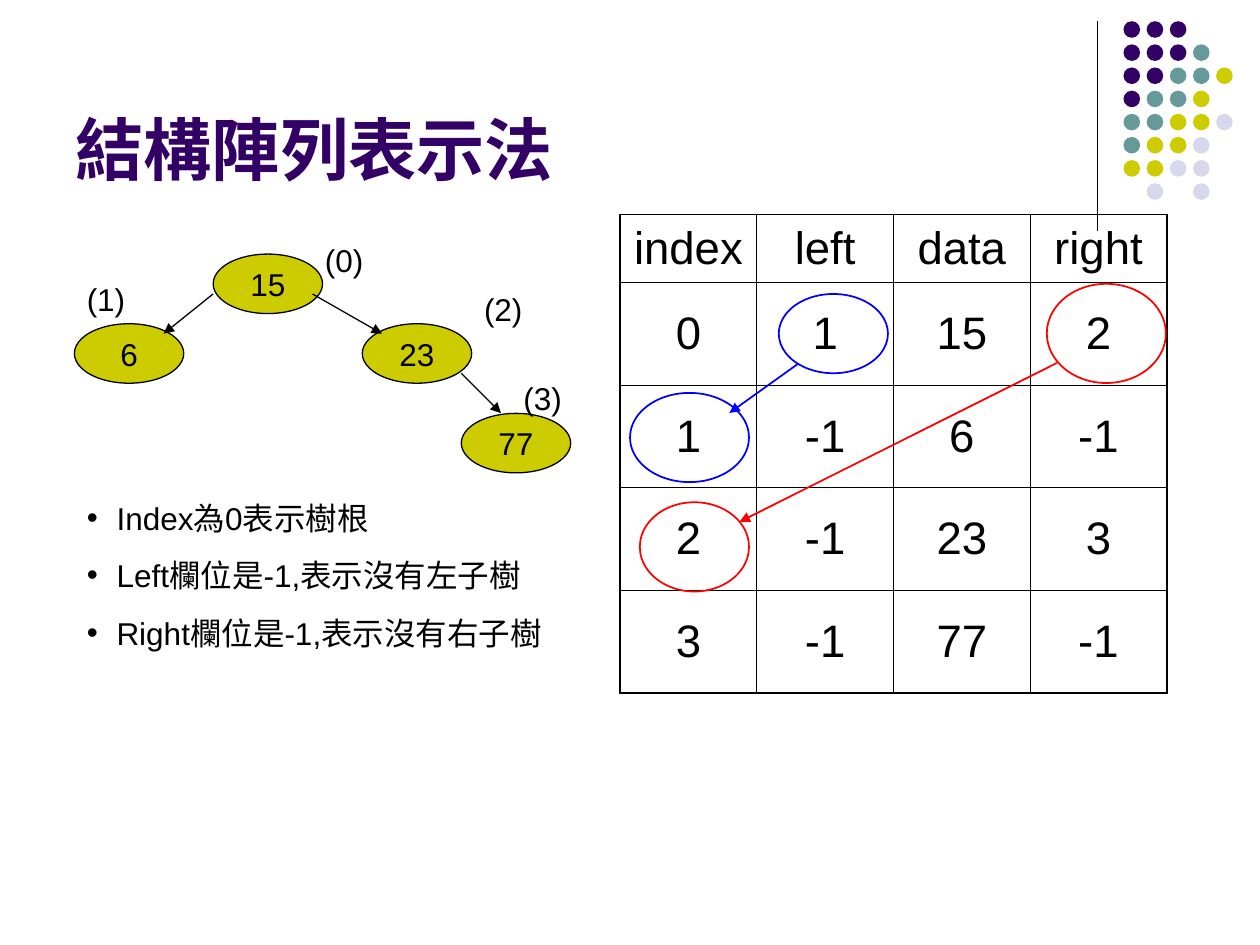
from lxml import etree
from pptx import Presentation
from pptx import util as u
from pptx.dml.color import RGBColor
from pptx.enum import shapes, text
from pptx.oxml.ns import qn

HUES = {"ink": "000000", "plum": "330066", "teal": "669999", "lime": "CCCC00",
        "mist": "D8D8EC", "blue": "0000FF", "red": "FF0000"}
FONT = "Arial"
MID = text.PP_ALIGN.CENTER


def rgb(hue):
    return RGBColor.from_string(HUES[hue])


def write(frame, words, size=18, hue="ink", bold=False, align=None,
          gap=0, bullet=None, hang=17):
    """Fill a text frame, one paragraph for each line of words."""
    for i, line in enumerate(words.split("\n")):
        para = frame.paragraphs[0] if i == 0 else frame.add_paragraph()
        if bullet:
            props = para._p.get_or_add_pPr()
            props.set("marL", str(u.Pt(hang)))
            props.set("indent", str(-u.Pt(hang)))
            etree.SubElement(props, qn("a:buFont"), typeface=FONT)
            etree.SubElement(props, qn("a:buChar"), char=bullet)
        if i:
            para.space_before = u.Pt(gap)
        para.alignment = align
        run = para.add_run()
        run.text = line
        run.font.name, run.font.size, run.font.bold = FONT, u.Pt(size), bold
        run.font.color.rgb = rgb(hue)


class Pen:
    """Draws on the current slide, or into the current group."""

    def __init__(self, slide, thin=0.75):
        self.slide, self.thin = slide, thin
        self.pool = slide.shapes

    def group(self):
        self.pool = self.slide.shapes.add_group_shape().shapes

    def leave(self):
        self.pool = self.slide.shapes

    def oval(self, x, y, w, h, fill=None, line=None, width=None, words=None):
        oval = self.pool.add_shape(shapes.MSO_SHAPE.OVAL, *map(u.Pt, (x, y, w, h)))
        oval.shadow.inherit = False
        if fill:
            oval.fill.solid()
            oval.fill.fore_color.rgb = rgb(fill)
        else:
            oval.fill.background()
        if line:
            oval.line.color.rgb = rgb(line)
            oval.line.width = u.Pt(width or self.thin)
        else:
            oval.line.fill.background()
        if words:
            oval.text_frame.word_wrap = False
            oval.text_frame.vertical_anchor = text.MSO_ANCHOR.MIDDLE
            write(oval.text_frame, words, align=MID)

    def line(self, x1, y1, x2, y2, hue="ink", width=None, arrow=True):
        link = self.pool.add_connector(shapes.MSO_CONNECTOR.STRAIGHT,
                                       *map(u.Pt, (x1, y1, x2, y2)))
        link.line.color.rgb = rgb(hue)
        link.line.width = u.Pt(width or self.thin)
        if arrow:
            etree.SubElement(link.line._get_or_add_ln(), qn("a:tailEnd"), type="triangle")
        etree.SubElement(link._element.spPr, qn("a:effectLst"))

    def label(self, x, y, w, h, words, anchor=text.MSO_ANCHOR.TOP, **look):
        frame = self.pool.add_textbox(*map(u.Pt, (x, y, w, h))).text_frame
        frame.word_wrap = True
        frame.vertical_anchor = anchor
        write(frame, words, **look)

    def edge(self, cell, sides):
        props = cell._tc.get_or_add_tcPr()
        for i, (side, width) in enumerate(sides):
            ln = etree.Element(qn("a:ln" + side), w=str(u.Pt(width)))
            fill = etree.SubElement(ln, qn("a:solidFill"))
            etree.SubElement(fill, qn("a:srgbClr"), val=HUES["ink"])
            props.insert(i, ln)

    def table(self, x, y, wide, highs, rows, size=26, inner=0.45, outer=1.08):
        down, across = len(rows), len(rows[0])
        grid = self.pool.add_table(down, across, u.Pt(x), u.Pt(y),
                                   u.Pt(wide * across), u.Pt(sum(highs))).table
        grid.first_row = grid.horz_banding = False
        for col in grid.columns:
            col.width = u.Pt(wide)
        for r, row in enumerate(rows):
            grid.rows[r].height = u.Pt(highs[r])
            for c, words in enumerate(row):
                cell = grid.cell(r, c)
                cell.fill.background()
                cell.vertical_anchor = text.MSO_ANCHOR.MIDDLE
                write(cell.text_frame, words, size=size, align=MID)
                rims = (("L", c == 0), ("R", c == across - 1),
                        ("T", r == 0), ("B", r == down - 1))
                self.edge(cell, [(s, outer if rim else inner) for s, rim in rims])


def main():
    deck = Presentation()
    deck.slide_width, deck.slide_height = u.Pt(720), u.Pt(540)
    pen = Pen(deck.slides.add_slide(deck.slide_layouts[6]))

    # Corner ornament: a rule and a grid of dots
    pen.line(627, 12, 627, 132, arrow=False)
    codes = {"p": "plum", "t": "teal", "l": "lime", "m": "mist"}
    dots = ("ppp", "pppt", "ppttl", "pttl", "ttllm", "tllm", "llmm", ".m.m")
    pen.group()
    for r, row in enumerate(dots):
        for c, code in enumerate(row):
            if code in codes:
                pen.oval(642 + 13.23 * c, 12.1 + 13.23 * r, 9.5, 9.5, fill=codes[code])
    pen.leave()

    # Title
    pen.label(36, 9.4, 594, 102, "結構陣列表示法", anchor=text.MSO_ANCHOR.BOTTOM,
              size=39, hue="plum", bold=True)

    # Tree: nodes, branches, index labels
    for x, y, key in ((121.8, 145.2, "15"), (42.5, 185, "6"),
                      (207, 185, "23"), (263.6, 236.2, "77")):
        pen.oval(x, y, 62.5, 34, fill="lime", line="ink", words=key)
    for ends in ((121.8, 168, 93.5, 190.7), (178.6, 168, 218.3, 190.7),
                 (263.6, 213.3, 286.3, 236.1)):
        pen.line(*ends)
    for i, (x, y) in enumerate(((178.6, 134), (42.5, 156.4), (269.5, 162), (292, 213.3))):
        pen.label(x, y, 39.7, 29, f"({i})")

    # Array table
    pen.table(354.4, 122.6, 78.1, [38.8] + [58.7] * 4, [
        ("index", "left", "data", "right"),
        ("0", "1", "15", "2"),
        ("1", "-1", "6", "-1"),
        ("2", "-1", "23", "3"),
        ("3", "-1", "77", "-1")])

    # Links from child fields to their rows
    links = (
        ("blue", ((445, 168, 62.4, 45.3), (360, 224.5, 68, 51)), (456.3, 207.7, 416.8, 236)),
        ("red", ((598.2, 162.2, 68, 56.7), (365.6, 287, 62.4, 51)), (604, 207.4, 422.6, 298.2)),
    )
    for hue, rings, ends in links:
        pen.group()
        for ring in rings:
            pen.oval(*ring, line=hue, width=1)
        pen.line(*ends, hue=hue, width=1)
        pen.leave()

    # Notes on the fields
    pen.label(42.5, 281.5, 295, 127.5,
              "Index為0表示樹根\nLeft欄位是-1,表示沒有左子樹\nRight欄位是-1,表示沒有右子樹",
              gap=11.2, bullet="•")

    deck.save("out.pptx")


if __name__ == "__main__":
    main()
